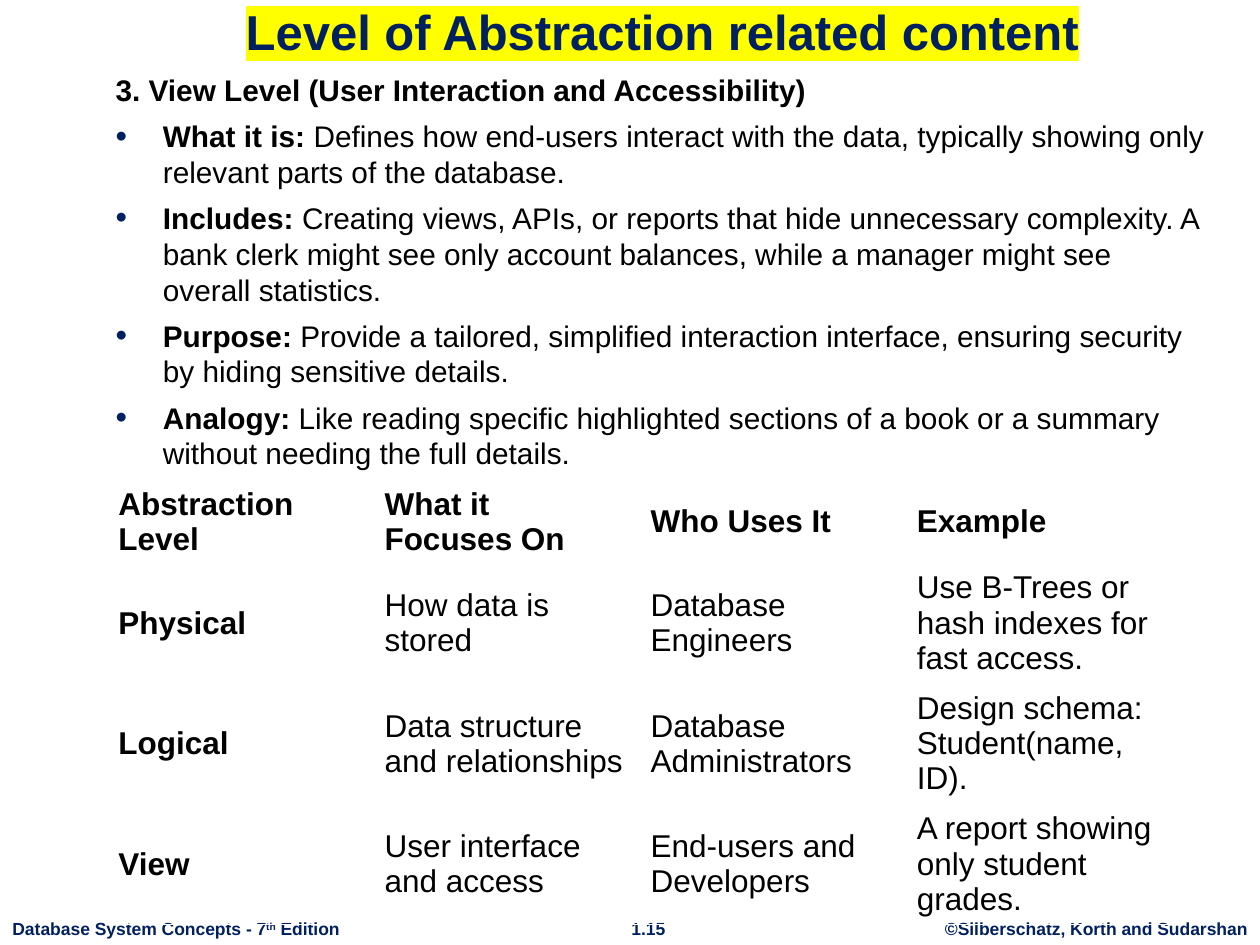
"""Build the View Level slide with its comparison table of abstraction levels."""
from lxml.etree import SubElement
from pptx import Presentation
from pptx.dml.color import RGBColor
from pptx.enum.text import MSO_ANCHOR, MSO_AUTO_SIZE, PP_ALIGN
from pptx.oxml.ns import qn
from pptx.util import Pt

COLORS = {"navy": "002060", "black": "000000", "yellow": "FFFF00"}
FONT = "Arial"
TITLE = "Level of Abstraction related content"
HEADING = "3. View Level (User Interaction and Accessibility)"
POINTS = [
    ("What it is:", " Defines how end-users interact with the data, typically showing only relevant parts of the database."),
    ("Includes:", " Creating views, APIs, or reports that hide unnecessary complexity. A bank clerk might see only account balances, while a manager might see overall statistics."),
    ("Purpose:", " Provide a tailored, simplified interaction interface, ensuring security by hiding sensitive details."),
    ("Analogy:", " Like reading specific highlighted sections of a book or a summary without needing the full details."),
]
LEVELS = [
    ("Abstraction Level", "What it Focuses On", "Who Uses It", "Example"),
    ("Physical", "How data is stored", "Database Engineers", "Use B-Trees or hash indexes for fast access."),
    ("Logical", "Data structure and relationships", "Database Administrators", "Design schema: Student(name, ID)."),
    ("View", "User interface and access", "End-users and Developers", "A report showing only student grades."),
]
FOOTERS = [
    (532.8, 187.2, PP_ALIGN.CENTER, [("©Silberschatz, Korth and Sudarshan", 0)]),
    (352.8, 35.3, PP_ALIGN.CENTER, [("1.15", 0)]),
    (0, 202.3, PP_ALIGN.LEFT, [("Database System Concepts - 7", 0), ("th", 30000), (" Edition", 0)]),
]
HEADER_HEIGHT, ROW_HEIGHT = 47.3, 67.75
INDENT = 27


def add_run(paragraph, text, size, color, bold):
    run = paragraph.add_run()
    run.text = text
    run.font.size = Pt(size)
    run.font.bold = bold
    run.font.color.rgb = RGBColor.from_string(COLORS[color])
    run.font.name = FONT
    return run


def add_text_box(slide, left, top, width, height, wrap):
    box = slide.shapes.add_textbox(Pt(left), Pt(top), Pt(width), Pt(height))
    box.text_frame.word_wrap = wrap
    return box.text_frame


def add_bullet(paragraph):
    properties = paragraph._p.get_or_add_pPr()
    properties.set("marL", str(Pt(INDENT)))
    properties.set("indent", str(-Pt(INDENT)))
    color = SubElement(properties, qn("a:buClr"))
    SubElement(color, qn("a:srgbClr"), val=COLORS["navy"])
    SubElement(properties, qn("a:buSzPct"), val="110000")
    SubElement(properties, qn("a:buFont"), typeface=FONT)
    SubElement(properties, qn("a:buChar"), char="•")


def highlight(run, color):
    mark = SubElement(run._r.rPr, qn("a:highlight"))
    SubElement(mark, qn("a:srgbClr"), val=COLORS[color])
    run._r.rPr.find(qn("a:solidFill")).addnext(mark)


def add_footers(slide):
    for left, width, alignment, parts in FOOTERS:
        paragraph = add_text_box(slide, left, 521.2, width, 18.8, False).paragraphs[0]
        paragraph.alignment = alignment
        for text, baseline in parts:
            run = add_run(paragraph, text, 10, "navy", True)
            if baseline:
                run._r.rPr.set("baseline", str(baseline))


def add_title(slide):
    title = slide.shapes.title
    title.left, title.top, title.width, title.height = Pt(60.5), Pt(0.7), Pt(635.8), Pt(37.4)
    frame = title.text_frame
    frame.auto_size = MSO_AUTO_SIZE.NONE
    frame.vertical_anchor = MSO_ANCHOR.BOTTOM
    paragraph = frame.paragraphs[0]
    paragraph.alignment = PP_ALIGN.CENTER
    highlight(add_run(paragraph, TITLE, 28, "navy", True), "yellow")


def add_body(slide):
    frame = add_text_box(slide, 59, 37.4, 637.9, 483.1, True)
    for index, (label, detail) in enumerate([(HEADING, ""), *POINTS]):
        paragraph = frame.add_paragraph() if index else frame.paragraphs[0]
        paragraph.space_before = Pt(6)
        add_run(paragraph, label, 17, "black", True)
        if detail:
            add_bullet(paragraph)
            add_run(paragraph, detail, 17, "black", False)


def add_levels_table(slide):
    heights = [HEADER_HEIGHT] + [ROW_HEIGHT] * (len(LEVELS) - 1)
    frame = slide.shapes.add_table(
        len(LEVELS), len(LEVELS[0]), Pt(60.5), Pt(274.5), Pt(608.4), Pt(sum(heights)))
    table = frame.table
    table.first_row = table.horz_banding = False
    for row, height in zip(table.rows, heights):
        row.height = Pt(height)
    for row_index, texts in enumerate(LEVELS):
        for column_index, text in enumerate(texts):
            cell = table.cell(row_index, column_index)
            cell.fill.background()
            cell.vertical_anchor = MSO_ANCHOR.MIDDLE
            cell.margin_top = cell.margin_bottom = Pt(2)
            bold = row_index == 0 or column_index == 0
            add_run(cell.text_frame.paragraphs[0], text, 18, "black", bold)


def main():
    presentation = Presentation()
    presentation.slide_width, presentation.slide_height = Pt(720), Pt(540)
    slide = presentation.slides.add_slide(presentation.slide_layouts[5])
    add_footers(slide)
    add_title(slide)
    add_body(slide)
    add_levels_table(slide)
    presentation.save("out.pptx")


if __name__ == "__main__":
    main()
